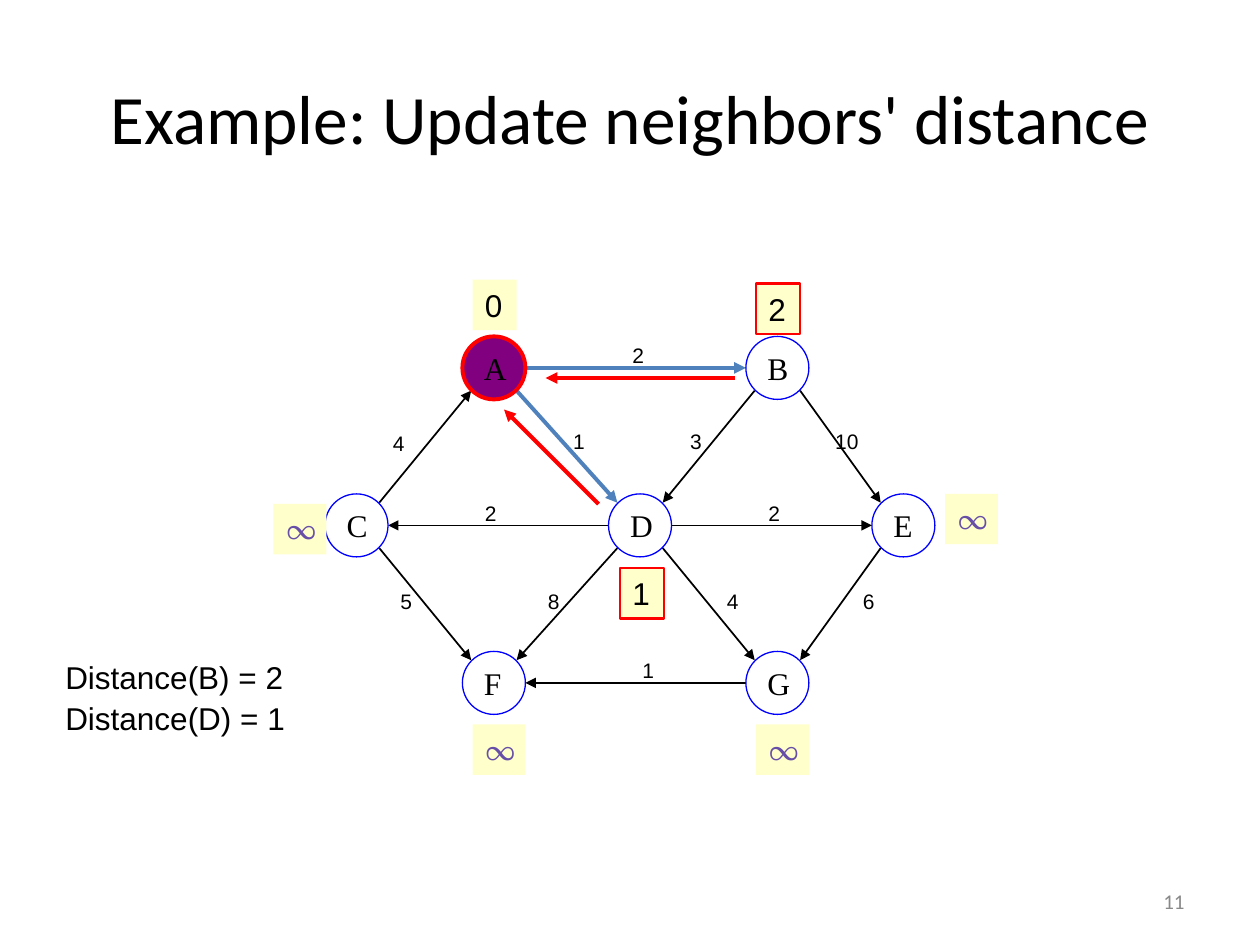
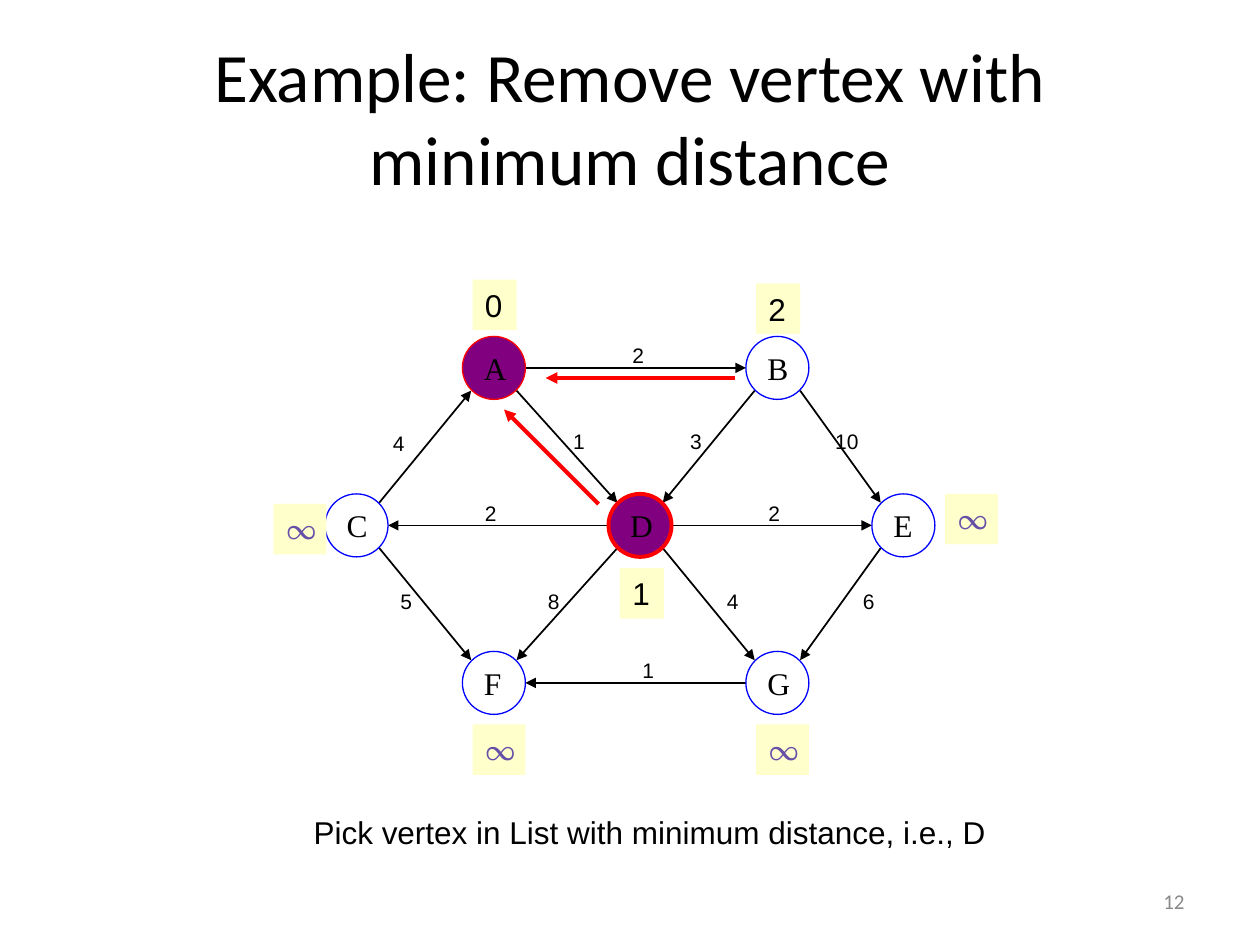
from lxml import etree
from pptx import Presentation
from pptx.dml.color import RGBColor
from pptx.enum.shapes import MSO_CONNECTOR as Connector, MSO_SHAPE as Shape
from pptx.enum.text import MSO_ANCHOR as Anchor, MSO_AUTO_SIZE as AutoSize, PP_ALIGN as Align
from pptx.oxml.ns import qn
from pptx.util import Inches, Pt

COLORS = {
    "black": "000000", "gray": "898989", "red": "FF0000", "blue": "0000FF",
    "relaxed": "4F81BD", "visited": "800080", "tag": "FFFFCC", "infinity": "674EA7",
}
NODE_SIZE = 0.5
SIDE, DIAGONAL = 0.25, 0.18  # distance from a node centre to its edge ends

# Graph: node centres, and edges as (start, end, weight, label left, label top)
NODES = {
    "A": (3.92, 2.92), "B": (6.17, 2.92),
    "C": (2.83, 4.17), "D": (5.08, 4.17), "E": (7.17, 4.17),
    "F": (3.92, 5.42), "G": (6.17, 5.42),
}
EDGES = [
    ("A", "B", "2", 4.92, 2.67), ("A", "D", "1", 4.45, 3.35),
    ("B", "D", "3", 5.38, 3.35), ("B", "E", "10", 6.53, 3.35),
    ("C", "A", "4", 3.02, 3.37), ("C", "F", "5", 3.08, 4.62),
    ("D", "C", "2", 3.75, 3.92), ("D", "E", "2", 6, 3.92),
    ("D", "F", "8", 4.25, 4.62), ("D", "G", "4", 5.67, 4.62),
    ("E", "G", "6", 6.75, 4.62), ("G", "F", "1", 5, 5.17),
]
# Distance tags: node -> (distance, left, top)
DISTANCES = {
    "A": ("0", 3.75, 2.22), "B": ("2", 6, 2.25), "C": ("∞", 2.17, 4),
    "D": ("1", 4.92, 4.51), "E": ("∞", 7.5, 3.92),
    "F": ("∞", 3.75, 5.75), "G": ("∞", 6, 5.75),
}
# Arrows back to the predecessor
PREDECESSOR_ARROWS = [((4.75, 4), (4, 3.25)), ((5.83, 3), (4.33, 3))]


def color(name):
    return RGBColor.from_string(COLORS[name])


class GraphDeck:
    """Holds the shared style and the slide being drawn."""

    def __init__(self):
        self.presentation = Presentation()
        self.presentation.slide_width = Inches(10)
        self.presentation.slide_height = Inches(7.5)
        self.slide = None

    def add_slide(self, title, number):
        layout = self.presentation.slide_layouts[6]
        self.slide = self.presentation.slides.add_slide(layout)
        self.text(title, 0.5, 0.3, 9, 1.25, 39.6, "Calibri", anchor=Anchor.MIDDLE,
                  align=Align.CENTER, wrap=True, grow=False)
        self.text(number, 7.17, 6.95, 2.33, 0.4, 12, "Calibri", "gray", Anchor.MIDDLE,
                  Align.RIGHT, wrap=True, grow=False)

    def set_text(self, shape, text, size, font="Arial", ink="black", anchor=Anchor.TOP,
                 align=Align.LEFT, wrap=False, grow=True):
        frame = shape.text_frame
        frame.text = text
        frame.word_wrap = wrap
        frame.auto_size = AutoSize.SHAPE_TO_FIT_TEXT if grow else AutoSize.NONE
        frame.vertical_anchor = anchor
        paragraph = frame.paragraphs[0]
        paragraph.alignment = align
        for run in paragraph.runs:
            run.font.size = Pt(size)
            run.font.name = font
            run.font.color.rgb = color(ink)

    def text(self, text, left, top, width, height, size, *style, **options):
        box = self.slide.shapes.add_textbox(*map(Inches, (left, top, width, height)))
        self.set_text(box, text, size, *style, **options)

    def shape(self, kind, left, top, width, height, fill=None, line=None, weight=0.75):
        shape = self.slide.shapes.add_shape(kind, *map(Inches, (left, top, width, height)))
        shape.shadow.inherit = False
        if fill:
            shape.fill.solid()
            shape.fill.fore_color.rgb = color(fill)
        else:
            shape.fill.background()
        if line:
            shape.line.color.rgb = color(line)
            shape.line.width = Pt(weight)
        else:
            shape.line.fill.background()
        return shape

    def arrow(self, start, end, ink="black", weight=1):
        connector = self.slide.shapes.add_connector(
            Connector.STRAIGHT, *map(Inches, (*start, *end)))
        connector.line.color.rgb = color(ink)
        connector.line.width = Pt(weight)
        properties = connector.element.spPr
        etree.SubElement(properties.get_or_add_ln(), qn("a:tailEnd"), type="triangle")
        etree.SubElement(properties, qn("a:effectLst"))

    def edge(self, start, end, relaxed):
        (x1, y1), (x2, y2) = NODES[start], NODES[end]
        step_x = 1 if x2 > x1 else -1
        step_y = (y2 > y1) - (y2 < y1)
        offset = DIAGONAL if step_y else SIDE
        dx, dy = step_x * offset, step_y * offset
        style = ("relaxed", 2.25) if relaxed else ("black", 1)
        self.arrow((x1 + dx, y1 + dy), (x2 - dx, y2 - dy), *style)

    def node(self, name, visited, current):
        x, y = NODES[name]
        shape = self.shape(Shape.OVAL, x - SIDE, y - SIDE, NODE_SIZE, NODE_SIZE,
                           "visited" if visited else None, "red" if visited else "blue",
                           2.25 if current else 0.75)
        self.set_text(shape, name, 18, "Times New Roman", anchor=Anchor.MIDDLE, grow=False)

    def tag(self, name, updated):
        distance, left, top = DISTANCES[name]
        infinite = distance == "∞"
        width, height = 0.42 if infinite else 0.35, 0.4
        shape = self.shape(Shape.RECTANGLE, left, top, width, height, "tag",
                           "red" if updated else None, 1.25)
        style = ("Vollkorn", "infinity") if infinite else ("Arial", "black")
        self.set_text(shape, distance, 18, *style)

    def graph(self, visited, current, relaxed=(), updated=()):
        for start, end, *_ in EDGES:
            self.edge(start, end, start + end in relaxed)
        for name in NODES:
            self.node(name, name in visited, name == current)
        for _, _, weight, left, top in EDGES:
            width = 0.2 + 0.1 * len(weight)
            self.text(weight, left, top, width, 0.3, 12, anchor=Anchor.MIDDLE)
        for name in DISTANCES:
            self.tag(name, name in updated)
        for start, end in PREDECESSOR_ARROWS:
            self.arrow(start, end, "red", 2.25)


def main():
    deck = GraphDeck()

    # Neighbours of A get their distances
    deck.add_slide("Example: Update neighbors' distance", "11")
    deck.graph(visited="A", current="A", relaxed=("AB", "AD"), updated="BD")
    for top, note in ((5.17, "Distance(B) = 2"), (5.5, "Distance(D) = 1")):
        deck.text(note, 0.42, top, 2.13, 0.4, 18, wrap=True)

    # D is removed as the nearest vertex
    deck.add_slide("Example: Remove vertex with minimum distance", "12")
    deck.graph(visited="AD", current="D")
    deck.text("Pick vertex in List with minimum distance, i.e., D", 2.39, 6.4, 5.59, 0.4, 18)

    deck.presentation.save("out.pptx")


if __name__ == "__main__":
    main()
